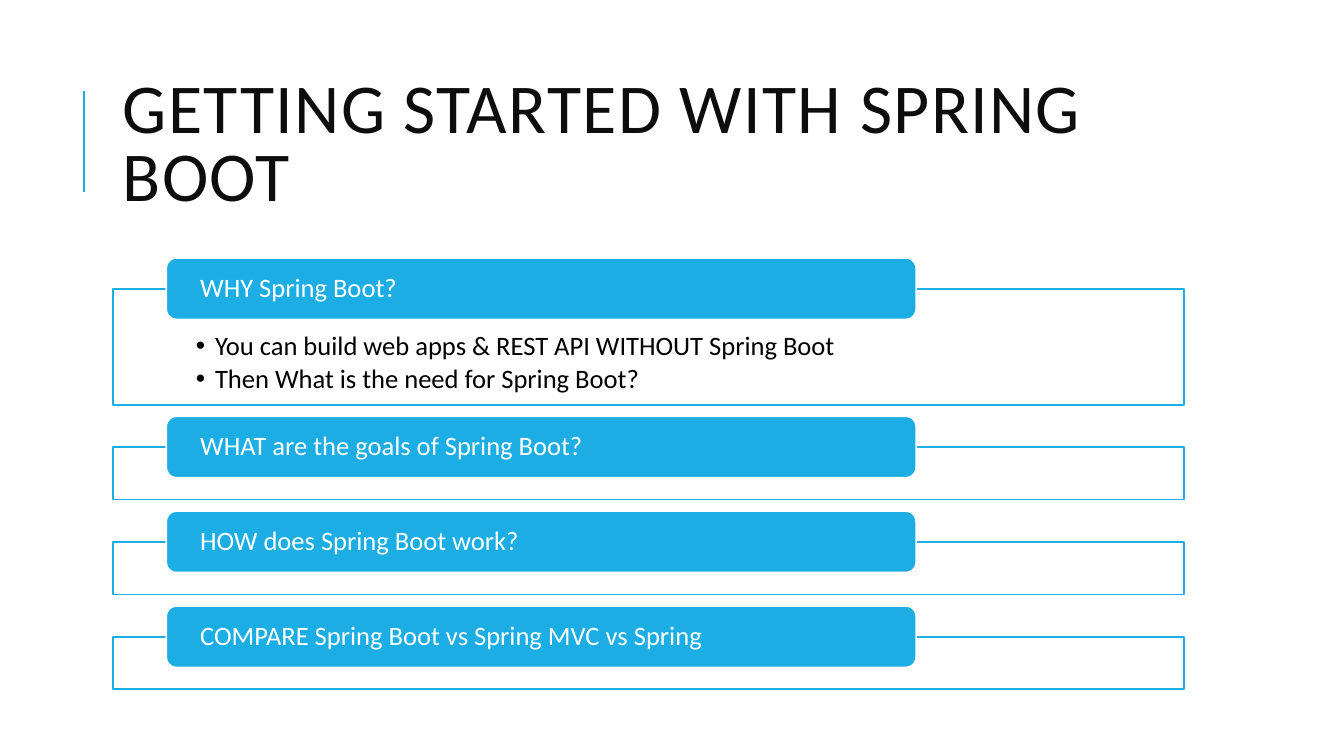
from lxml import etree
from pptx import Presentation
from pptx.dml.color import RGBColor
from pptx.enum.shapes import MSO_CONNECTOR, MSO_SHAPE
from pptx.enum.text import MSO_ANCHOR, MSO_AUTO_SIZE, PP_ALIGN
from pptx.oxml.ns import qn
from pptx.util import Cm, Pt

RECT, ROUNDED = MSO_SHAPE.RECTANGLE, MSO_SHAPE.ROUNDED_RECTANGLE
STRAIGHT = MSO_CONNECTOR.STRAIGHT
TOP, MIDDLE = MSO_ANCHOR.TOP, MSO_ANCHOR.MIDDLE
LEFT = PP_ALIGN.LEFT
NO_FIT = MSO_AUTO_SIZE.NONE

# Agenda sections: heading and its bullet points
SECTIONS = [
    ("WHY Spring Boot?", [
        "You can build web apps & REST API WITHOUT Spring Boot",
        "Then What is the need for Spring Boot?",
    ]),
    ("WHAT are the goals of Spring Boot?", []),
    ("HOW does Spring Boot work?", []),
    ("COMPARE Spring Boot vs Spring MVC vs Spring", []),
]

# Agenda layout in centimetres
FIRST_TOP, GAP = 7.28, 1.07
EMPTY_HEIGHT, BULLETS_HEIGHT = 1.32, 2.92
HEADING_RISE = 0.78


def color(hex_code):
    return RGBColor.from_string(hex_code)


class AgendaSlide:
    font = "Calibri"
    accent, white, black, title_ink = "1CADE4", "FFFFFF", "000000", "0D0D0D"
    text_size = 19

    def __init__(self, prs):
        self.slide = prs.slides.add_slide(prs.slide_layouts[5])

    def set_text(self, frame, lines, size, ink, spacing, anchor, insets):
        frame.text = "\n".join(lines)
        frame.word_wrap = True
        frame.auto_size = NO_FIT
        frame.vertical_anchor = anchor
        (frame.margin_left, frame.margin_top,
         frame.margin_right, frame.margin_bottom) = map(Cm, insets)
        for paragraph in frame.paragraphs:
            paragraph.alignment = LEFT
            paragraph.line_spacing = spacing
            for run in paragraph.runs:
                run.font.name = self.font
                run.font.size = Pt(size)
                run.font.color.rgb = color(ink)

    def title(self, text):
        title = self.slide.shapes.title
        title.left, title.top = Cm(2.84), Cm(1.63)
        title.width, title.height = Cm(27), Cm(4.17)
        self.set_text(title.text_frame, [text], 50, self.title_ink, 0.8,
                      MIDDLE, (0.25, 0.13, 0.25, 0.13))
        for run in title.text_frame.paragraphs[0].runs:
            run._r.get_or_add_rPr().set("spc", "100")

    def accent_line(self, x, top, bottom):
        line = self.slide.shapes.add_connector(
            STRAIGHT, Cm(x), Cm(bottom), Cm(x), Cm(top))
        line.line.color.rgb = color(self.accent)
        line.line.width = Pt(1.5)
        etree.SubElement(line._element.spPr, qn("a:effectLst"))

    def box(self, kind, left, top, width, height, fill, outline):
        box = self.slide.shapes.add_shape(
            kind, Cm(left), Cm(top), Cm(width), Cm(height))
        box.shadow.inherit = False
        box.fill.solid()
        box.fill.fore_color.rgb = color(fill)
        box.line.color.rgb = color(outline)
        box.line.width = Pt(1.25)
        return box

    def bullet_frame(self, top, height, bullets):
        frame = self.box(RECT, 2.84, top, 27, height, self.white, self.accent)
        # 90 % opaque fill
        fill = frame._element.spPr.find(qn("a:solidFill"))
        etree.SubElement(fill[0], qn("a:alpha"), val="90000")
        if not bullets:
            return
        self.set_text(frame.text_frame, bullets, self.text_size, self.black,
                      0.9, TOP, (2.1, 1.1, 2.1, 0.38))
        for paragraph in frame.text_frame.paragraphs:
            paragraph.space_after = Pt(2.85)
            properties = paragraph._p.get_or_add_pPr()
            properties.set("marL", str(Cm(0.48)))
            properties.set("indent", str(-Cm(0.48)))
            etree.SubElement(properties, qn("a:buFont"), typeface="Arial")
            etree.SubElement(properties, qn("a:buChar"), char="•")

    def heading(self, top, text):
        heading = self.box(ROUNDED, 4.19, top, 18.9, 1.55,
                           self.accent, self.white)
        self.set_text(heading.text_frame, [text], self.text_size, self.white,
                      0.9, MIDDLE, (0.78, 0, 0.78, 0))


def main():
    prs = Presentation()
    prs.slide_width, prs.slide_height = Cm(33.87), Cm(19.05)
    agenda = AgendaSlide(prs)

    # Title with its accent line
    agenda.accent_line(2.12, 2.29, 4.83)
    agenda.title("GETTING STARTED WITH SPRING BOOT")

    # Stacked sections
    top = FIRST_TOP
    for question, bullets in SECTIONS:
        height = BULLETS_HEIGHT if bullets else EMPTY_HEIGHT
        agenda.bullet_frame(top, height, bullets)
        agenda.heading(top - HEADING_RISE, question)
        top += height + GAP

    prs.save("out.pptx")


if __name__ == "__main__":
    main()
